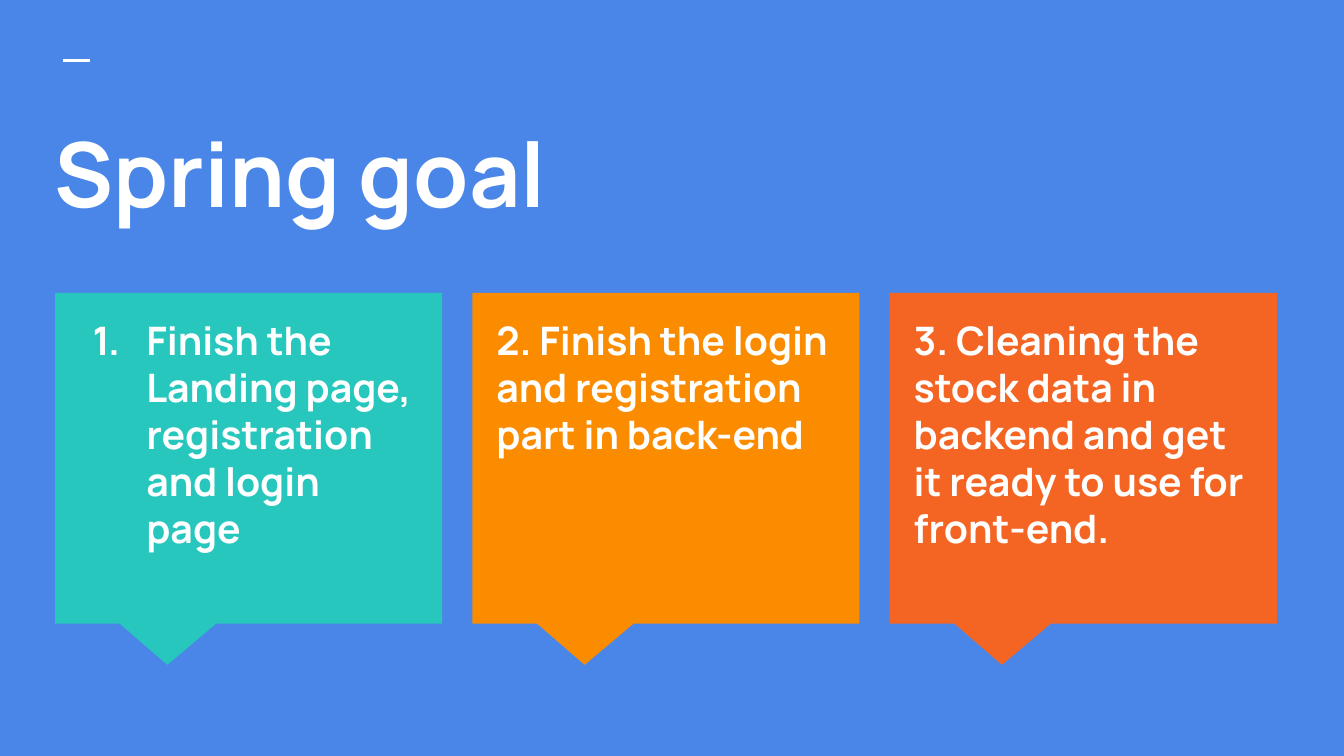
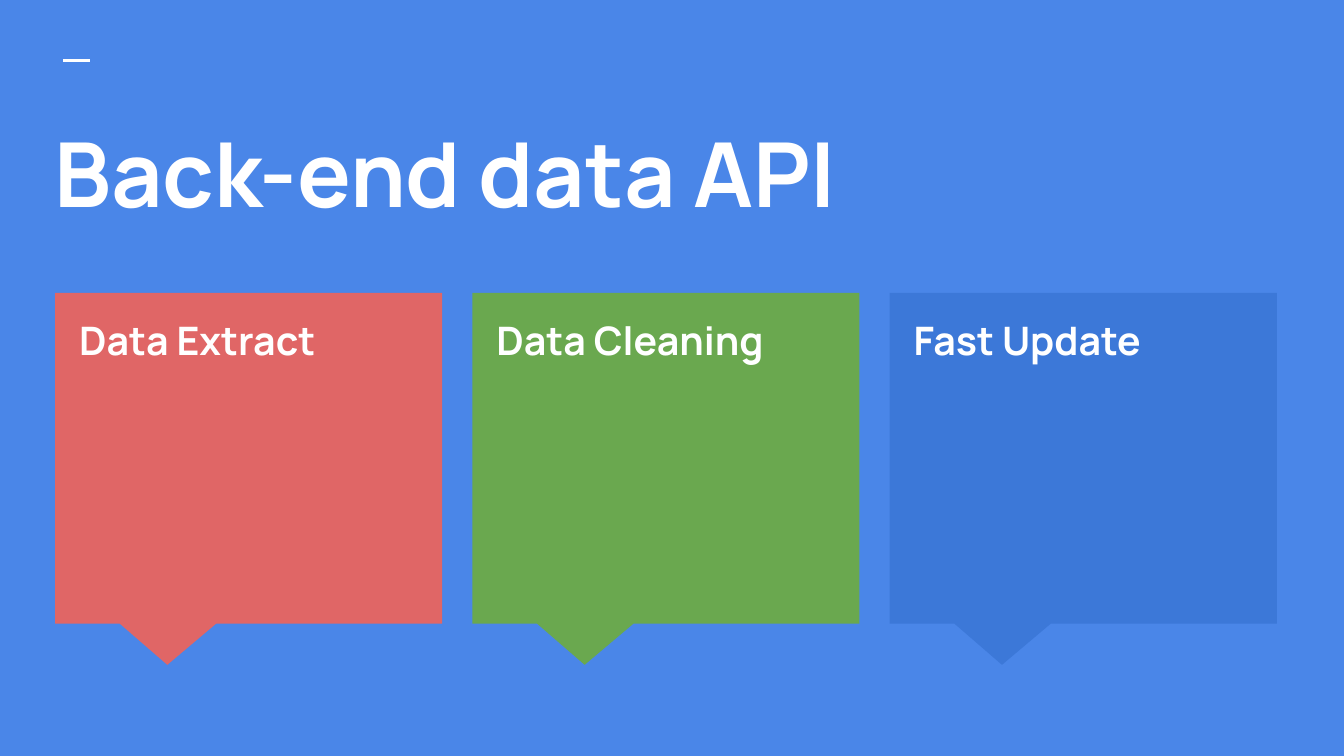
"""Build two slides, each with a large title over three coloured callout cards."""
from lxml.etree import SubElement
from pptx import Presentation
from pptx.dml.color import RGBColor
from pptx.enum.shapes import MSO_CONNECTOR, MSO_SHAPE
from pptx.enum.text import MSO_ANCHOR
from pptx.oxml.ns import qn
from pptx.util import Inches, Pt

FONT = "Manrope"
WHITE = "FFFFFF"
BACKGROUND = "4A86E8"
WIDTH = 10
HEIGHT = WIDTH * 9 / 16

CARD_LEFT, CARD_RIGHT, CARD_TOP = 0.41, 9.5, 2.18
CARD_WIDTH, CARD_HEIGHT = 2.88, 2.46
COLUMNS = 3
COLUMN_PITCH = (CARD_RIGHT - CARD_LEFT - CARD_WIDTH) / (COLUMNS - 1)
TEXT_INSET_X, TEXT_INSET_Y = 0.08, 0.07
TEXT_WIDTH, TEXT_HEIGHT = 2.71, 2.19

SLIDES = [
    ("Spring goal", [
        ("27C7BD", "Finish the Landing page, registration and login page",
         {"numbered": True}),
        ("FB8C00", "2. Finish the login and registration part in back-end",
         {"space_after": 12}),
        ("F46524", "3. Cleaning the stock data in backend and get it ready "
         "to use for front-end.", {"space_after": 12}),
    ]),
    ("Back-end data API", [
        ("E06666", "Data Extract", {}),
        ("6AA84F", "Data Cleaning", {}),
        ("3C78D8", "Fast Update", {}),
    ]),
]


def color(value):
    return RGBColor.from_string(value)


def add_text(slide, text, left, top, width, height, size=21, space_after=0,
             numbered=False):
    box = slide.shapes.add_textbox(
        Inches(left), Inches(top), Inches(width), Inches(height))
    frame = box.text_frame
    frame.word_wrap = True
    frame.vertical_anchor = MSO_ANCHOR.TOP
    frame.margin_left = frame.margin_right = Inches(0.1)
    frame.margin_top = frame.margin_bottom = Inches(0.1)
    paragraph = frame.paragraphs[0]
    paragraph.space_after = Pt(space_after)
    run = paragraph.add_run()
    run.text = text
    run.font.name = FONT
    run.font.size = Pt(size)
    run.font.bold = True
    run.font.color.rgb = color(WHITE)
    if numbered:
        properties = paragraph._p.get_or_add_pPr()
        properties.set("marL", str(Inches(0.5)))
        properties.set("indent", str(Inches(-0.4)))
        bullet_color = SubElement(properties, qn("a:buClr"))
        SubElement(bullet_color, qn("a:srgbClr"), val=WHITE)
        SubElement(properties, qn("a:buFont"), typeface=FONT)
        SubElement(properties, qn("a:buAutoNum"), type="arabicPeriod")


presentation = Presentation()
presentation.slide_width = Inches(WIDTH)
presentation.slide_height = Inches(HEIGHT)

for title, cards in SLIDES:
    slide = presentation.slides.add_slide(presentation.slide_layouts[6])
    slide.background.fill.solid()
    slide.background.fill.fore_color.rgb = color(BACKGROUND)

    dash = slide.shapes.add_connector(
        MSO_CONNECTOR.STRAIGHT,
        Inches(0.47), Inches(0.45), Inches(0.67), Inches(0.45))
    dash.line.color.rgb = color(WHITE)
    dash.line.width = Pt(1.5)
    SubElement(dash._element.spPr, qn("a:effectLst"))

    add_text(slide, title, 0.31, 0.78, 9.43, 1.12, size=48)

    for column, (fill, text, text_format) in enumerate(cards):
        left = CARD_LEFT + column * COLUMN_PITCH
        card = slide.shapes.add_shape(
            MSO_SHAPE.RECTANGULAR_CALLOUT, Inches(left), Inches(CARD_TOP),
            Inches(CARD_WIDTH), Inches(CARD_HEIGHT))
        card.adjustments[0] = -0.21
        card.adjustments[1] = 5 / 8
        card.shadow.inherit = False
        card.fill.solid()
        card.fill.fore_color.rgb = color(fill)
        card.line.fill.background()
        add_text(slide, text, left + TEXT_INSET_X, CARD_TOP + TEXT_INSET_Y,
                 TEXT_WIDTH, TEXT_HEIGHT, **text_format)

presentation.save("out.pptx")
